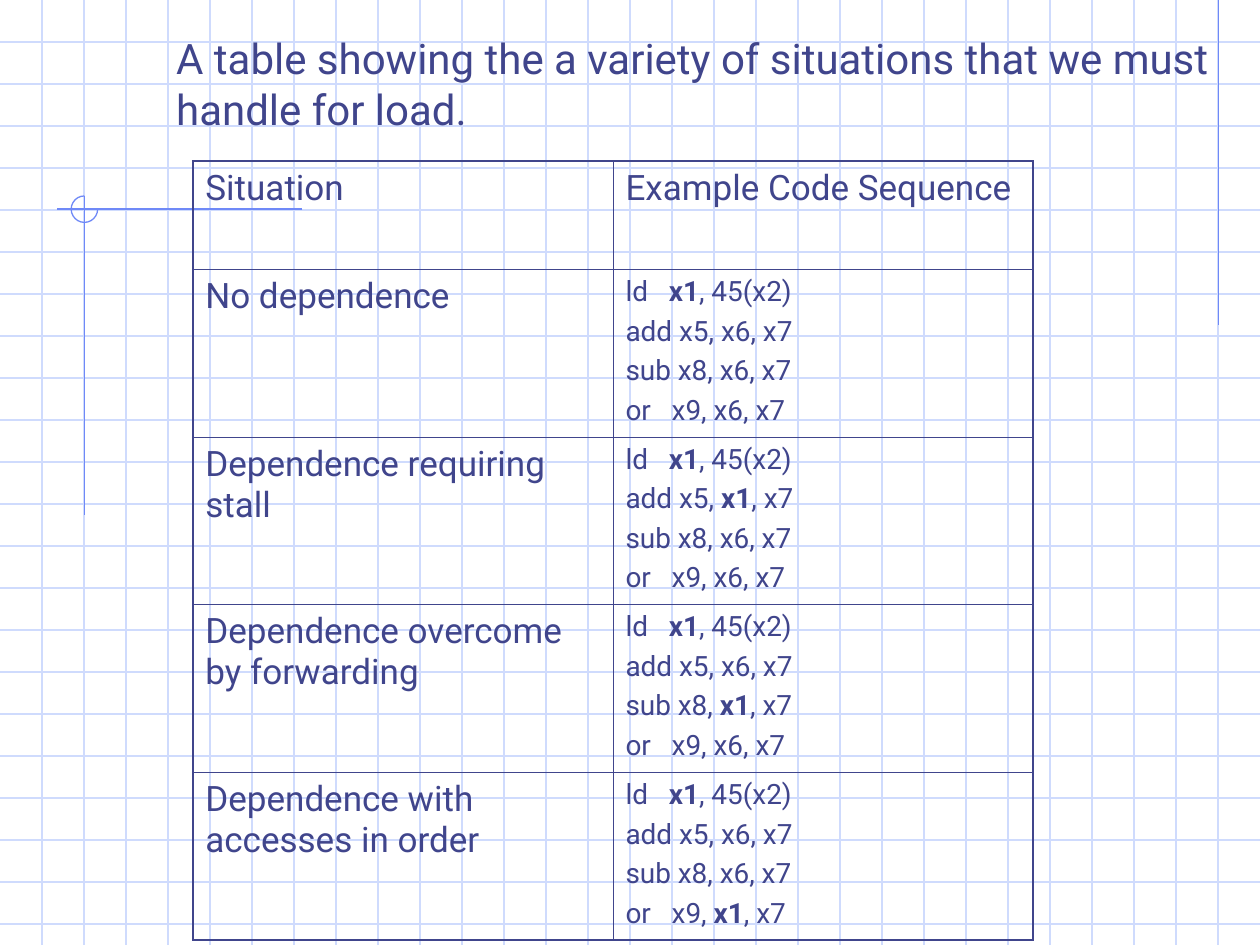
from lxml import etree
from pptx import Presentation
from pptx import util as u
from pptx.dml.color import RGBColor
from pptx.enum import shapes, text
from pptx.oxml.ns import qn

COLORS = {"grid": "CFDBFD", "accent": "6F89F7", "ink": "40458C"}
FONT = "Roboto"
GRID_STEP = 1 / 3
THIN, THICK = 0.45, 1.08

HEADERS = ["Situation", "Example Code Sequence"]
LOAD = "ld   x1, 45(x2)"
ADD, SUB, OR = "add x5, x6, x7", "sub x8, x6, x7", "or   x9, x6, x7"
SITUATIONS = [
    ("No dependence", [LOAD, ADD, SUB, OR]),
    ("Dependence requiring stall", [LOAD, "add x5, x1, x7", SUB, OR]),
    ("Dependence overcome by forwarding", [LOAD, ADD, "sub x8, x1, x7", OR]),
    ("Dependence with accesses in order", [LOAD, ADD, SUB, "or   x9, x1, x7"]),
]


def write_text(frame, lines, size, space_before=0, bold_word=None):
    """Write one paragraph per line, with bold_word set in bold."""
    frame.word_wrap = True
    for index, line in enumerate(lines):
        paragraph = frame.paragraphs[0] if index == 0 else frame.add_paragraph()
        if index:
            paragraph.space_before = u.Pt(space_before)
        parts = line.partition(bold_word) if bold_word else [line]
        for part in filter(None, parts):
            run = paragraph.add_run()
            run.text = part
            run.font.name = FONT
            run.font.size = u.Pt(size)
            run.font.bold = part == bold_word
            run.font.color.rgb = RGBColor.from_string(COLORS["ink"])


def add_line(slide, x1, y1, x2, y2, color):
    line = slide.shapes.add_connector(
        shapes.MSO_CONNECTOR.STRAIGHT,
        u.Inches(x1), u.Inches(y1), u.Inches(x2), u.Inches(y2))
    line.line.color.rgb = RGBColor.from_string(COLORS[color])
    line.line.width = u.Pt(0.75)
    etree.SubElement(line._element.spPr, qn("a:effectLst"))


def add_grid(slide, width, height):
    """Graph paper over the given area."""
    for row in range(1, int(height / GRID_STEP) + 1):
        add_line(slide, 0, row * GRID_STEP, width, row * GRID_STEP, "grid")
    for column in range(1, round(width / GRID_STEP)):
        add_line(slide, column * GRID_STEP, 0, column * GRID_STEP, height, "grid")


def add_crosshair(slide, x, y):
    """Two ruled lines and a three-quarter circle centred on their crossing."""
    radius = 0.105
    add_line(slide, x + 1.73, y, x - 0.22, y, "accent")
    add_line(slide, x, y - radius, x, y + 2.43, "accent")
    circle = slide.shapes.add_shape(
        shapes.MSO_SHAPE.ARC, u.Inches(x - radius), u.Inches(y - radius),
        u.Inches(2 * radius), u.Inches(2 * radius))
    circle.adjustments[0] = 0
    circle.adjustments[1] = 162  # 270 degrees, in units of 100000/60000
    circle.shadow.inherit = False
    circle.fill.background()
    circle.line.color.rgb = RGBColor.from_string(COLORS["accent"])
    circle.line.width = u.Pt(0.75)


def add_title(slide, left, top, width, height):
    title = slide.shapes.add_textbox(
        u.Inches(left), u.Inches(top), u.Inches(width), u.Inches(height))
    write_text(title.text_frame, [
        "A table showing the a variety of situations that we must handle for load."
    ], size=24)
    title.text_frame.auto_size = text.MSO_AUTO_SIZE.SHAPE_TO_FIT_TEXT


def set_borders(cell, widths):
    """widths: points for the left, right, top and bottom side."""
    properties = cell._tc.get_or_add_tcPr()
    for side, width in zip("LRTB", widths):
        border = etree.SubElement(properties, qn(f"a:ln{side}"), w=str(u.Pt(width)))
        fill = etree.SubElement(border, qn("a:solidFill"))
        etree.SubElement(fill, qn("a:srgbClr"), val=COLORS["ink"])


def add_situation_table(slide, left, top, width):
    header_height, row_height = 0.86, 1.33
    last_row = len(SITUATIONS)
    table = slide.shapes.add_table(
        last_row + 1, 2, u.Inches(left), u.Inches(top), u.Inches(width),
        u.Inches(header_height + last_row * row_height)).table
    table.first_row = table.horz_banding = False
    for column in table.columns:
        column.width = u.Inches(width / 2)
    for index, row in enumerate(table.rows):
        row.height = u.Inches(row_height if index else header_height)

    # Header and situations
    for cell, header in zip(table.rows[0].cells, HEADERS):
        write_text(cell.text_frame, [header], size=20)
    for index, (situation, code) in enumerate(SITUATIONS, start=1):
        write_text(table.cell(index, 0).text_frame, [situation], size=20)
        write_text(table.cell(index, 1).text_frame, code, size=16,
                   space_before=4, bold_word="x1")

    # Thick outer frame, thin inner rules
    for row in range(last_row + 1):
        for column in range(2):
            cell = table.cell(row, column)
            edges = (column == 0, column == 1, row == 0, row == last_row)
            set_borders(cell, [THICK if edge else THIN for edge in edges])
            cell.fill.background()


def main():
    deck = Presentation()
    deck.slide_width, deck.slide_height = u.Inches(10), u.Inches(7.5)
    slide = deck.slides.add_slide(deck.slide_layouts[6])
    add_grid(slide, 10, 7.5)
    add_line(slide, 9.67, 0, 9.67, 2.58, "accent")
    add_crosshair(slide, 0.67, 1.66)
    add_situation_table(slide, 1.53, 1.28, 6.67)
    add_title(slide, 1.3, 0.21, 8.43, 0.9)
    deck.save("out.pptx")


if __name__ == "__main__":
    main()
